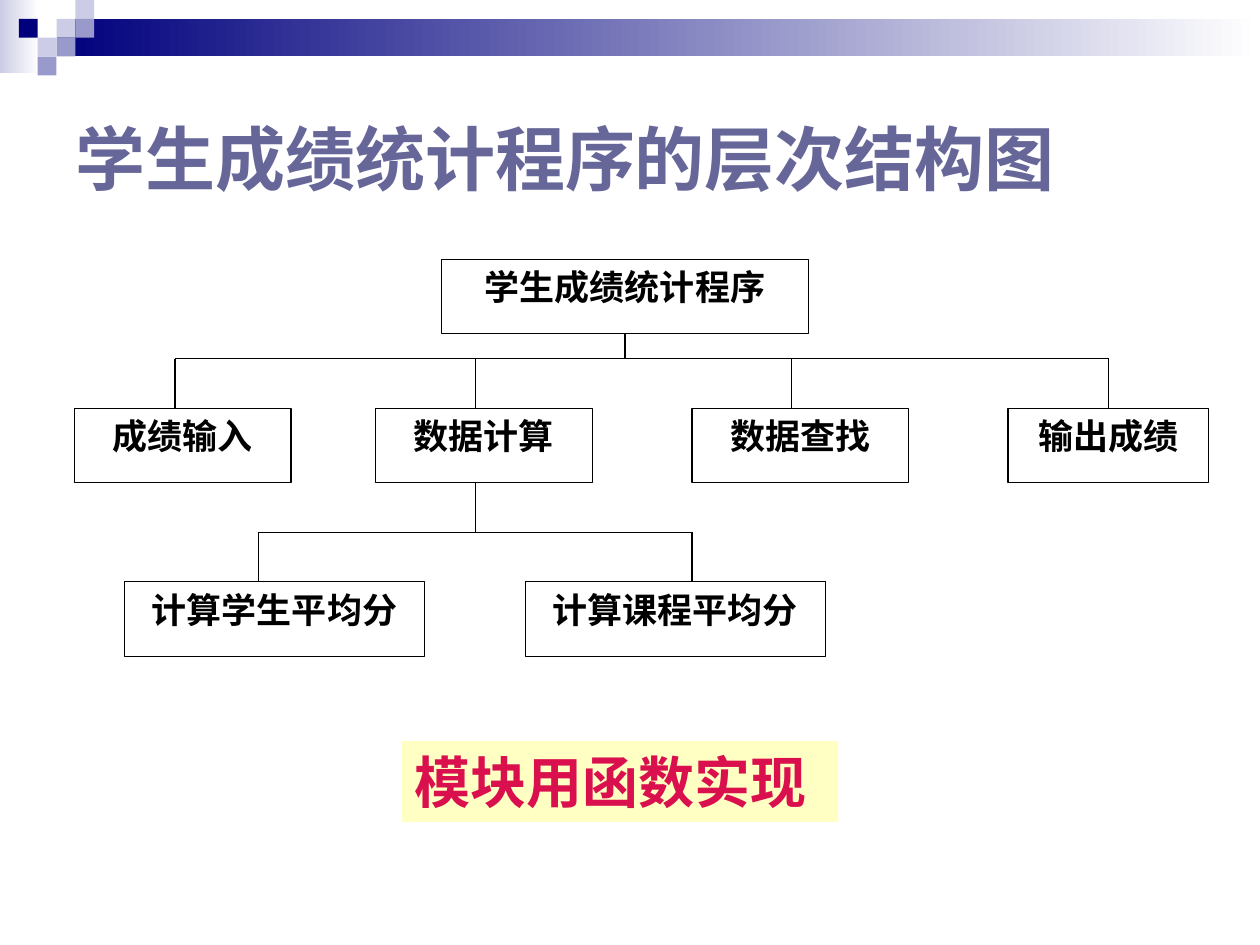
from dataclasses import dataclass

import pptx
import pptx.dml.color
import pptx.enum.shapes
import pptx.enum.text
import pptx.oxml.ns
import pptx.shapes.autoshape
import pptx.slide
import pptx.text.text
import pptx.util
from lxml import etree

Cm = pptx.util.Cm
Pt = pptx.util.Pt
RGBColor = pptx.dml.color.RGBColor
ALIGN = pptx.enum.text.PP_ALIGN
ANCHOR = pptx.enum.text.MSO_ANCHOR
AUTO_SIZE = pptx.enum.text.MSO_AUTO_SIZE

BLACK = RGBColor(0x00, 0x00, 0x00)
WHITE = RGBColor(0xFF, 0xFF, 0xFF)
NAVY = RGBColor(0x00, 0x00, 0x7D)
LILAC = RGBColor(0x99, 0x99, 0xCC)
PALE_LILAC = RGBColor(0xCC, 0xCC, 0xE6)
SLATE = RGBColor(0x66, 0x66, 0x99)
CREAM = RGBColor(0xFF, 0xFF, 0xC3)
CRIMSON = RGBColor(0xD9, 0x0F, 0x4E)

TILE = 0.38
MODULE_HEIGHT = 1.5
BUS_RISE = 1.0  # distance from a horizontal branch down to the modules below it
LINE_WIDTH = Pt(0.75)


@dataclass(frozen=True)
class Tile:
    column: int
    row: int
    color: RGBColor


@dataclass(frozen=True)
class Module:
    """A box of the hierarchy; stem is the x where its connecting line meets it."""
    name: str
    left: float
    top: float
    width: float
    stem: float


TILES = [
    Tile(3, 1, PALE_LILAC), Tile(4, 0, PALE_LILAC), Tile(4, 1, LILAC),
    Tile(2, 2, PALE_LILAC), Tile(1, 1, NAVY), Tile(3, 2, LILAC), Tile(2, 3, LILAC),
]

PROGRAM = Module("学生成绩统计程序", 8.9, 5.23, 7.4, 12.6)
CALCULATION = Module("数据计算", 7.57, 8.23, 4.37, 9.58)
TASKS = [
    Module("成绩输入", 1.5, 8.23, 4.37, 3.53),
    CALCULATION,
    Module("数据查找", 13.95, 8.23, 4.37, 15.95),
    Module("输出成绩", 20.32, 8.23, 4.04, 22.35),
]
AVERAGES = [
    Module("计算学生平均分", 2.51, 11.73, 6.05, 5.21),
    Module("计算课程平均分", 10.59, 11.73, 6.05, 13.95),
]


def add_rectangle(slide: pptx.slide.Slide, left: float, top: float, width: float,
                  height: float) -> pptx.shapes.autoshape.Shape:
    rectangle = slide.shapes.add_shape(
        pptx.enum.shapes.MSO_SHAPE.RECTANGLE, Cm(left), Cm(top), Cm(width), Cm(height))
    rectangle.shadow.inherit = False
    rectangle.line.fill.background()
    return rectangle


def fill_solid(rectangle: pptx.shapes.autoshape.Shape, color: RGBColor) -> None:
    rectangle.fill.solid()
    rectangle.fill.fore_color.rgb = color


def fade_to_white(rectangle: pptx.shapes.autoshape.Shape, color: RGBColor) -> None:
    rectangle.fill.gradient()
    rectangle.fill.gradient_angle = 0
    for stop, stop_color in zip(rectangle.fill.gradient_stops, (color, WHITE)):
        stop.color.rgb = stop_color


def write(frame: pptx.text.text.TextFrame, text: str, font_name: str, size: int,
          color: RGBColor, align: ALIGN, anchor: ANCHOR) -> None:
    frame.text = text
    frame.word_wrap = True
    frame.vertical_anchor = anchor
    paragraph = frame.paragraphs[0]
    paragraph.alignment = align
    font = paragraph.runs[0].font
    font.name = font_name
    font.size = Pt(size)
    font.bold = True
    font.color.rgb = color


def draw_banner(slide: pptx.slide.Slide) -> None:
    fade_to_white(add_rectangle(slide, 0, 0, 0.8, 1.48), PALE_LILAC)
    fade_to_white(add_rectangle(slide, 3 * TILE, TILE, 25.4 - 3 * TILE, 2 * TILE), NAVY)
    for tile in TILES:
        square = add_rectangle(slide, tile.column * TILE, tile.row * TILE, TILE, TILE)
        fill_solid(square, tile.color)


def draw_module(slide: pptx.slide.Slide, module: Module) -> None:
    box = add_rectangle(slide, module.left, module.top, module.width, MODULE_HEIGHT)
    fill_solid(box, WHITE)
    box.line.color.rgb = BLACK
    box.line.width = LINE_WIDTH
    write(box.text_frame, module.name, "Times New Roman", 20, BLACK,
          ALIGN.CENTER, ANCHOR.TOP)


def draw_line(slide: pptx.slide.Slide, x1: float, y1: float, x2: float, y2: float) -> None:
    line = slide.shapes.add_connector(
        pptx.enum.shapes.MSO_CONNECTOR.STRAIGHT, Cm(x1), Cm(y1), Cm(x2), Cm(y2))
    line.line.color.rgb = BLACK
    line.line.width = LINE_WIDTH
    etree.SubElement(line._element.spPr, pptx.oxml.ns.qn("a:effectLst"))


def draw_branch(slide: pptx.slide.Slide, parent: Module, children: list[Module]) -> None:
    """Join a parent to its children through one horizontal line."""
    bus = children[0].top - BUS_RISE
    draw_line(slide, children[0].stem, bus, children[-1].stem, bus)
    for child in children:
        draw_line(slide, child.stem, bus, child.stem, child.top)
    draw_line(slide, parent.stem, parent.top + MODULE_HEIGHT, parent.stem, bus)


def main() -> None:
    presentation = pptx.Presentation()
    presentation.slide_width, presentation.slide_height = Cm(25.4), Cm(19.05)
    slide = presentation.slides.add_slide(presentation.slide_layouts[5])

    draw_banner(slide)

    title = slide.shapes.title
    title.left, title.top, title.width, title.height = Cm(1.27), Cm(1.27), Cm(22.86), Cm(3.81)
    write(title.text_frame, "学生成绩统计程序的层次结构图", "Arial", 40, SLATE,
          ALIGN.LEFT, ANCHOR.MIDDLE)
    title.text_frame.auto_size = AUTO_SIZE.NONE

    for module in [PROGRAM, *TASKS, *AVERAGES]:
        draw_module(slide, module)
    draw_branch(slide, PROGRAM, TASKS)
    draw_branch(slide, CALCULATION, AVERAGES)

    conclusion = add_rectangle(slide, 8.1, 14.94, 8.8, 1.63)
    fill_solid(conclusion, CREAM)
    write(conclusion.text_frame, "模块用函数实现", "Times New Roman", 32, CRIMSON,
          ALIGN.LEFT, ANCHOR.TOP)
    conclusion.text_frame.auto_size = AUTO_SIZE.SHAPE_TO_FIT_TEXT

    presentation.save("out.pptx")


if __name__ == "__main__":
    main()
